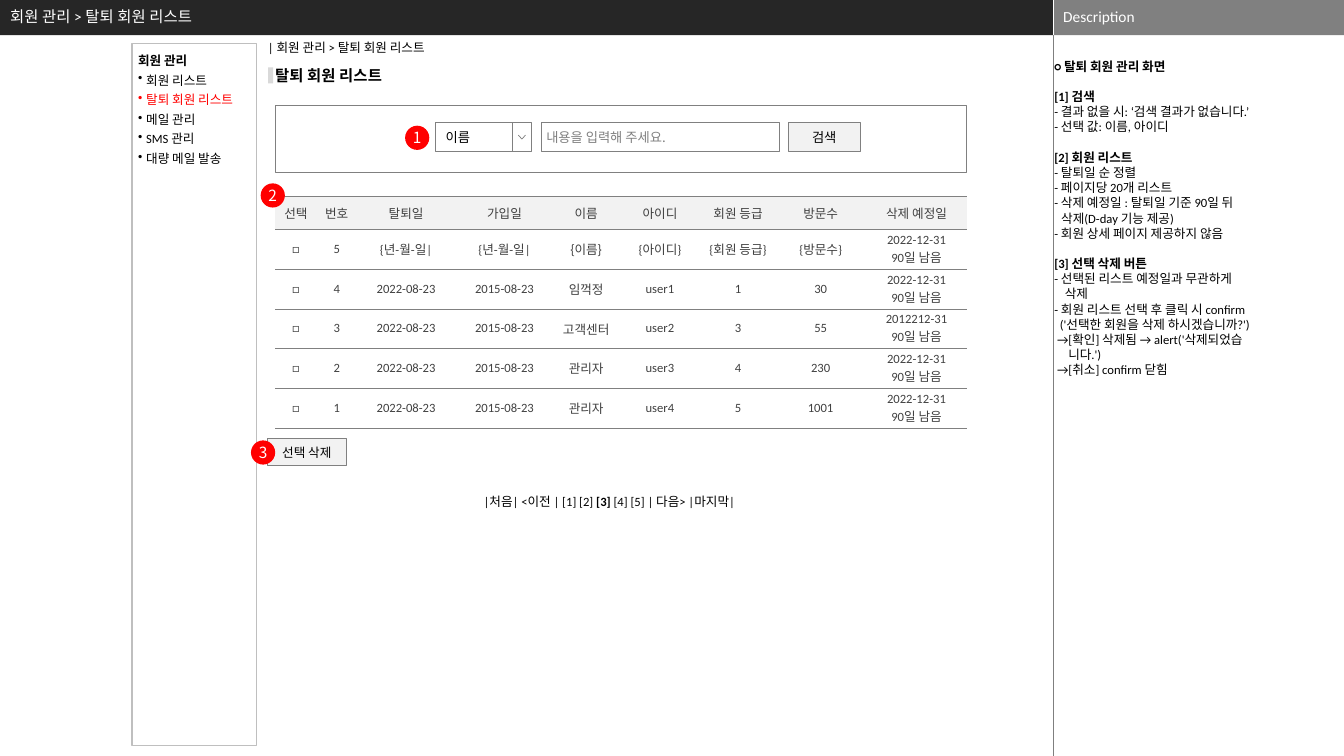
from lxml import etree
from pptx import Presentation
from pptx.dml.color import RGBColor
from pptx.enum.shapes import MSO_CONNECTOR, MSO_SHAPE
from pptx.enum.text import MSO_ANCHOR, MSO_AUTO_SIZE, PP_ALIGN
from pptx.oxml.ns import qn
from pptx.util import Pt

RECTANGLE, OVAL = MSO_SHAPE.RECTANGLE, MSO_SHAPE.OVAL
STRAIGHT = MSO_CONNECTOR.STRAIGHT
TOP, MIDDLE = MSO_ANCHOR.TOP, MSO_ANCHOR.MIDDLE
LEFT, CENTER = PP_ALIGN.LEFT, PP_ALIGN.CENTER
NO_AUTOFIT = MSO_AUTO_SIZE.NONE

LATIN, KOREAN = "Calibri", "Noto Sans CJK KR"
BLACK, WHITE, RED, GRAY = "000000", "FFFFFF", "FF0000", "808080"
LIGHT, DARK_TEXT = "F2F2F2", "404040"
WIDTH, HEIGHT = 960, 540
PANEL_LEFT, BAR_HEIGHT = 752.4, 25.2
BADGE_SIZE = 17.3
DEFAULT_INSETS = (7.2, 3.6, 7.2, 3.6)

MENU = ["회원 리스트", "탈퇴 회원 리스트", "메일 관리", "SMS 관리", "대량 메일 발송"]
CURRENT_MENU = "탈퇴 회원 리스트"

# Each section: heading, then (line, left indent)
DESCRIPTION = [
    ("○ 탈퇴 회원 관리 화면", []),
    ("[1] 검색", [
        ("- 결과 없을 시: ‘검색 결과가 없습니다.’", 0),
        ("- 선택 값: 이름, 아이디", 0)]),
    ("[2] 회원 리스트", [
        ("- 탈퇴일 순 정렬", 0),
        ("- 페이지당 20개 리스트", 0),
        ("- 삭제 예정일 : 탈퇴일 기준 90일 뒤", 0),
        ("삭제(D-day 기능 제공)", 5),
        ("- 회원 상세 페이지 제공하지 않음", 0)]),
    ("[3] 선택 삭제 버튼", [
        ("- 선택된 리스트 예정일과 무관하게", 0),
        ("삭제", 7.5),
        ("- 회원 리스트 선택 후 클릭 시 confirm", 0),
        ("('선택한 회원을 삭제 하시겠습니까?')", 4),
        ("→[확인] 삭제됨 → alert('삭제되었습", 2),
        ("니다.')", 10),
        ("→[취소] confirm 닫힘", 2)]),
]

COLUMN_WIDTHS = [29.5, 28.8, 70.3, 70.3, 46.4, 59, 52.6, 65.5, 71.5]
NAME_COLUMN = 4
HEADER_HEIGHT, ROW_HEIGHT = 23.9, 28.35
HEADER = ["선택", "번호", "탈퇴일", "가입일", "이름", "아이디", "회원 등급", "방문수", "삭제 예정일"]
LEFT_DAYS = "90일 남음"
DATES = ["2022-08-23", "2015-08-23"]
MEMBERS = [
    ["5", "{년-월-일|", "{년-월-일|", "{이름}", "{아이디}", "{회원 등급}", "{방문수}", "2022-12-31"],
    ["4", *DATES, "임꺽정", "user1", "1", "30", "2022-12-31"],
    ["3", *DATES, "고객센터", "user2", "3", "55", "2012212-31"],
    ["2", *DATES, "관리자", "user3", "4", "230", "2022-12-31"],
    ["1", *DATES, "관리자", "user4", "5", "1001", "2022-12-31"],
]


def color(hex_code):
    return RGBColor.from_string(hex_code)


def paint(shape, fill=None, line=None, weight=0.5):
    shape.shadow.inherit = False
    if fill:
        shape.fill.solid()
        shape.fill.fore_color.rgb = color(fill)
    else:
        shape.fill.background()
    if line:
        shape.line.color.rgb = color(line)
        shape.line.width = Pt(weight)
    else:
        shape.line.fill.background()


def style_para(para, size, ink=BLACK, font=LATIN, asian=None, bold=False, align=LEFT):
    """Format a paragraph, with a separate font for East Asian letters if given."""
    para.alignment = align
    para.font.size = Pt(size)
    para.font.bold = bold
    para.font.color.rgb = color(ink)
    para.font.name = font
    defaults = para._p.get_or_add_pPr().find(qn("a:defRPr"))
    etree.SubElement(defaults, qn("a:ea"), typeface=asian or font)


def indent_para(para, left, bullet=None):
    """Indent a paragraph, hanging its bullet in the indent."""
    properties = para._p.get_or_add_pPr()
    properties.set("marL", str(Pt(left)))
    if bullet:
        properties.set("indent", str(-Pt(left)))
        etree.SubElement(properties, qn("a:buChar"), char=bullet)


def add_para(frame, text):
    """Fill the first paragraph of a frame, or append one after it."""
    para = frame.add_paragraph() if frame.text else frame.paragraphs[0]
    para.text = text
    return para


def set_frame(frame, insets=DEFAULT_INSETS, anchor=MIDDLE):
    frame.word_wrap = True
    frame.auto_size = NO_AUTOFIT
    frame.vertical_anchor = anchor
    frame.margin_left, frame.margin_top, frame.margin_right, frame.margin_bottom = map(Pt, insets)
    return frame


def add_box(shapes, place, fill=None, line=None, weight=0.5, kind=RECTANGLE):
    box = shapes.add_shape(kind, *map(Pt, place))
    paint(box, fill, line, weight)
    return box


def add_label(shapes, place, text, size, insets=DEFAULT_INSETS, anchor=TOP, **style):
    frame = set_frame(shapes.add_textbox(*map(Pt, place)).text_frame, insets, anchor)
    style_para(add_para(frame, text), size, **style)


def label_box(box, text, size, insets, **style):
    style_para(add_para(set_frame(box.text_frame, insets), text), size, **style)


def add_rule(shapes, x, top, bottom, ink):
    rule = shapes.add_connector(STRAIGHT, Pt(x), Pt(top), Pt(x), Pt(bottom))
    rule.line.color.rgb = color(ink)
    rule.line.width = Pt(0.25)
    etree.SubElement(rule._element.spPr, qn("a:effectLst"))


def add_badge(shapes, left, top, number):
    badge = add_box(shapes, (left, top, BADGE_SIZE, BADGE_SIZE), RED, kind=OVAL)
    label_box(badge, number, 11, (0, 0, 0, 0), ink=WHITE, font=KOREAN, align=CENTER)


def add_header(page):
    shapes = page.shapes
    bar = add_box(shapes, (0, 0, PANEL_LEFT, BAR_HEIGHT), "262626")
    add_box(shapes, (PANEL_LEFT, 0, WIDTH - PANEL_LEFT, BAR_HEIGHT), GRAY)
    add_rule(shapes, PANEL_LEFT, 0, BAR_HEIGHT, WHITE)
    add_rule(shapes, PANEL_LEFT, BAR_HEIGHT, HEIGHT, "7F7F7F")
    title = shapes.title
    title.left, title.top, title.width, title.height = map(Pt, (0, 0, 731.5, BAR_HEIGHT))
    para = add_para(set_frame(title.text_frame), "회원 관리 > 탈퇴 회원 리스트")
    style_para(para, 11, WHITE)
    para.line_spacing = 0.9
    bar._element.addnext(title._element)
    add_label(shapes, (PANEL_LEFT, -0.7, WIDTH - PANEL_LEFT, BAR_HEIGHT), "Description", 11,
              anchor=MIDDLE, ink=WHITE)


def add_description(shapes):
    box = shapes.add_textbox(*map(Pt, (750.2, 41.9, 168.5, 498)))
    frame = set_frame(box.text_frame, (2.9, 0, 2.9, 0), TOP)
    for number, (heading, lines) in enumerate(DESCRIPTION):
        para = add_para(frame, heading)
        style_para(para, 9, bold=True)
        if number:
            para.space_before = Pt(10.9)
        for text, left in lines:
            para = add_para(frame, text)
            indent_para(para, left)
            style_para(para, 9)


def add_menu(shapes):
    menu = add_box(shapes, (94.3, 31, 89.3, 501.8), line="BFBFBF", weight=0.75)
    frame = set_frame(menu.text_frame, (4.3, 3.6, 0, 3.6), TOP)
    style_para(add_para(frame, "회원 관리"), 9, bold=True)
    for item in MENU:
        para = add_para(frame, item)
        indent_para(para, 5.8, "•")
        style_para(para, 9, RED if item == CURRENT_MENU else BLACK)
    for para in frame.paragraphs:
        para.line_spacing = Pt(14)


def add_search(shapes):
    top, height = 87.6, 20.2
    add_box(shapes, (196.6, 75.6, 493.9, 47.3), line=GRAY)
    field = add_box(shapes, (386.6, top, 170, height), line=GRAY)
    label_box(field, "내용을 입력해 주세요.", 9.5, (3.6,) * 4, ink=GRAY, font=KOREAN)
    button = add_box(shapes, (563, top, 51.5, height), LIGHT, GRAY)
    label_box(button, "검색", 9.5, (3.6,) * 4, font=KOREAN, align=CENTER)
    select = shapes.add_group_shape().shapes
    choice = add_box(select, (311.3, top, 54.8, height), WHITE, GRAY)
    label_box(choice, "이름", 9.5, (7.2, 4.3, 7.2, 4.3), font=KOREAN)
    add_box(select, (366.1, top, 13.6, height), WHITE, GRAY)
    outline = select.build_freeform(Pt(375.4), Pt(96.5))
    outline.add_line_segments([(Pt(372.8), Pt(99.3)), (Pt(370.2), Pt(96.5))], close=False)
    paint(outline.convert_to_shape(), WHITE, GRAY)


def format_cell(cell, lines, fill, font=LATIN):
    cell.vertical_anchor = MIDDLE
    cell.margin_left = cell.margin_top = cell.margin_right = cell.margin_bottom = 0
    for text in lines:
        style_para(add_para(cell.text_frame, text), 9, DARK_TEXT, font, KOREAN, align=CENTER)
    properties = cell._tc.get_or_add_tcPr()
    for side in ("lnL", "lnR"):
        etree.SubElement(etree.SubElement(properties, qn(f"a:{side}")), qn("a:noFill"))
    for side in ("lnT", "lnB"):
        border = etree.SubElement(properties, qn(f"a:{side}"), w=str(Pt(0.5)))
        etree.SubElement(etree.SubElement(border, qn("a:solidFill")), qn("a:srgbClr"), val=GRAY)
    cell.fill.solid()
    cell.fill.fore_color.rgb = color(fill)


def add_member_table(shapes):
    rows = [[[text] for text in HEADER]]
    for *values, due in MEMBERS:
        rows.append([["□"], *([text] for text in values), [due, LEFT_DAYS]])
    place = (196.6, 140, sum(COLUMN_WIDTHS), HEADER_HEIGHT + ROW_HEIGHT * len(MEMBERS))
    table = shapes.add_table(len(rows), len(HEADER), *map(Pt, place)).table
    table.first_row = table.horz_banding = False
    for column, width in zip(table.columns, COLUMN_WIDTHS):
        column.width = Pt(width)
    for r, row in enumerate(rows):
        table.rows[r].height = Pt(ROW_HEIGHT if r else HEADER_HEIGHT)
        for c, lines in enumerate(row):
            font = KOREAN if r and c == NAME_COLUMN else LATIN
            format_cell(table.cell(r, c), lines, WHITE if r else LIGHT, font)


def add_pager(shapes):
    box = shapes.add_textbox(*map(Pt, (338.4, 349.2, 205.2, 18)))
    para = set_frame(box.text_frame, anchor=TOP).paragraphs[0]
    for text in ("|처음| <이전 | [1] [2] ", "[3]", " [4] [5] | 다음> |마지막|"):
        span = para.add_run()
        span.text = text
        if text == "[3]":
            span.font.bold = True
    style_para(para, 9)


def main():
    deck = Presentation()
    deck.slide_width, deck.slide_height = Pt(WIDTH), Pt(HEIGHT)
    page = deck.slides.add_slide(deck.slide_layouts.get_by_name("Title Only"))
    shapes = page.shapes
    add_header(page)
    add_description(shapes)
    add_label(shapes, (184.3, 25.2, 140, 18), "| 회원 관리 > 탈퇴 회원 리스트", 9)
    add_label(shapes, (196.6, 47.5, 86, 13.7), "탈퇴 회원 리스트", 11, (0, 0, 0, 0), bold=True)
    add_box(shapes, (191.5, 48.2, 3.6, 11.5), "D9D9D9")
    add_menu(shapes)
    add_search(shapes)
    add_member_table(shapes)
    delete_button = add_box(shapes, (191, 313.2, 56.2, 19.4), LIGHT, GRAY)
    label_box(delete_button, "선택 삭제", 9, (2.9,) * 4, align=CENTER)
    add_pager(shapes)
    add_badge(shapes, 289.4, 89.8, "1")
    add_badge(shapes, 186.2, 131, "2")
    add_badge(shapes, 179.3, 314.6, "3")
    deck.save("out.pptx")


if __name__ == "__main__":
    main()
